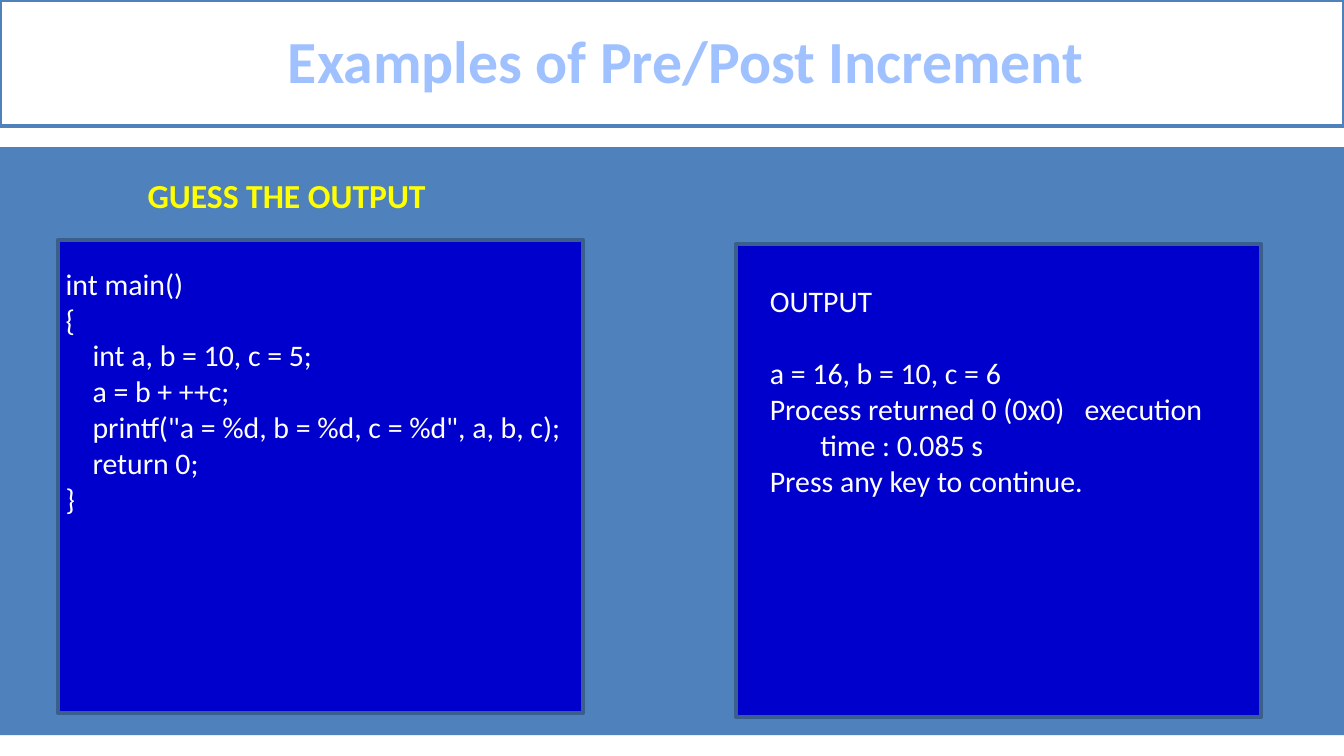
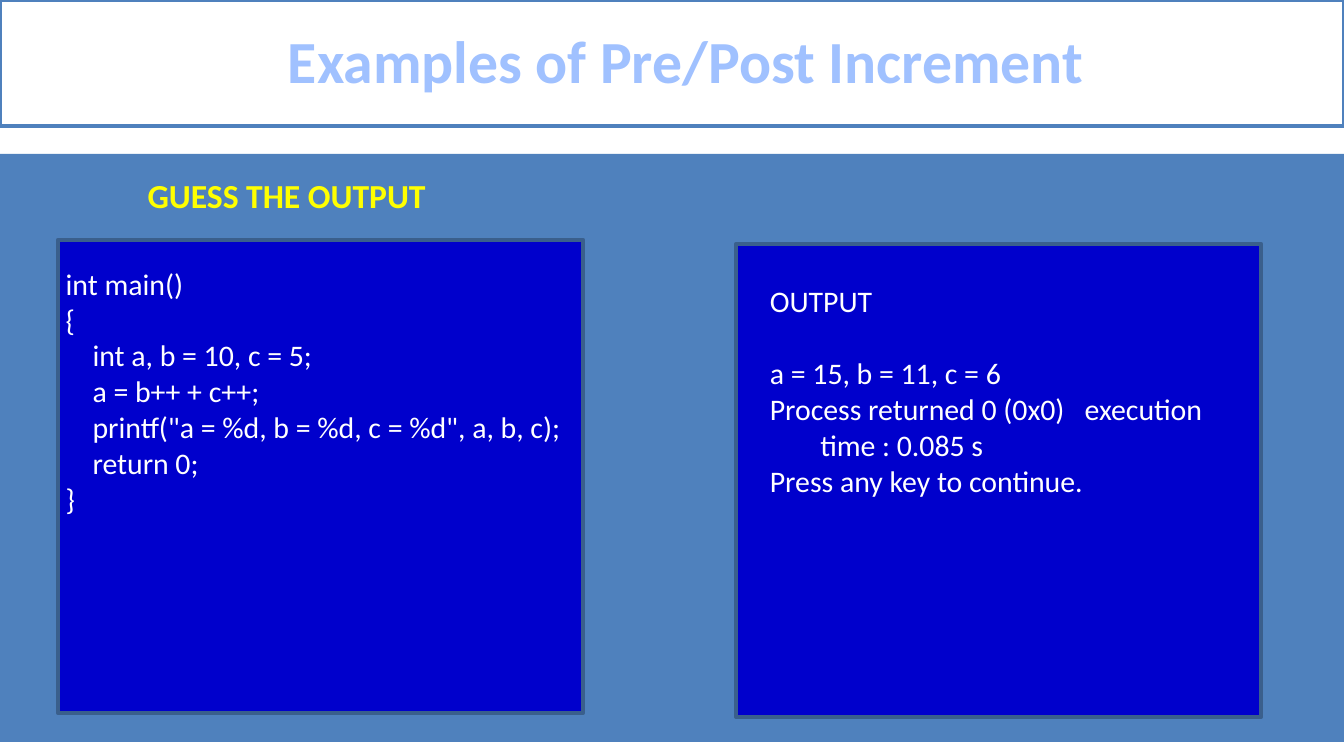
from pptx import Presentation
from pptx import util as u
from pptx.dml.color import RGBColor
from pptx.enum import shapes, text

PX = 4572
FONT = "Calibri"
WHITE = RGBColor(0xFF, 0xFF, 0xFF)
STEEL = RGBColor(0x4F, 0x81, 0xBD)
SLATE = RGBColor(0x3A, 0x5F, 0x8C)
NAVY = RGBColor(0x00, 0x00, 0xCC)
SKY = RGBColor(0xA0, 0xC1, 0xFF)
YELLOW = RGBColor(0xFF, 0xFF, 0x00)

TITLE_STYLE = {"name": FONT, "size": u.Pt(32), "bold": True}
HEADING_STYLE = {"name": FONT, "size": u.Pt(18), "bold": True}
LISTING_STYLE = {"name": FONT, "size": u.Pt(16), "bold": False}

EXAMPLES = [
    {"band_top": 219, "statement": "a = b + ++c;", "result": "a = 16, b = 10, c = 6"},
    {"band_top": 229, "statement": "a = b++ + c++;", "result": "a = 15, b = 11, c = 6"},
]


def px(*lengths):
    return [u.Emu(length * PX) for length in lengths]


def format_paragraph(paragraph, style, color, left=0, first=0):
    properties = paragraph._p.get_or_add_pPr()
    for key, length in {"marL": left, "indent": first}.items():
        properties.set(key, str(length * PX))
    for key, value in style.items():
        setattr(paragraph.font, key, value)
    paragraph.font.color.rgb = color


def paint(shape, fill, outline=None):
    shape.fill.solid()
    shape.fill.fore_color.rgb = fill
    if outline is None:
        shape.line.fill.background()
    else:
        shape.line.color.rgb = outline
        shape.line.width = u.Pt(2)


def add_panel(slide, place, fill, outline=None):
    panel = slide.shapes.add_shape(shapes.MSO_SHAPE.RECTANGLE, *px(*place))
    panel.shadow.inherit = False
    paint(panel, fill, outline)


def add_lines(slide, place, lines, style, color, left, first=0):
    frame = slide.shapes.add_textbox(*px(*place)).text_frame
    frame.word_wrap = True
    frame.auto_size = text.MSO_AUTO_SIZE.SHAPE_TO_FIT_TEXT
    frame.text = "\n".join(lines)
    for paragraph in frame.paragraphs:
        format_paragraph(paragraph, style, color, left, first)
    return frame.paragraphs


def set_title(slide, wording):
    title = slide.shapes.title
    for key, length in zip(("left", "top", "width", "height"), px(0, 0, 2000, 188)):
        setattr(title, key, length)
    paint(title, WHITE, STEEL)
    frame = title.text_frame
    frame.text = wording
    frame.auto_size = text.MSO_AUTO_SIZE.NONE
    frame.vertical_anchor = text.MSO_ANCHOR.MIDDLE
    heading = frame.paragraphs[0]
    format_paragraph(heading, TITLE_STYLE, SKY, left=42)
    heading.alignment = text.PP_ALIGN.CENTER
    heading.line_spacing = 0.96


def add_code(slide, statement):
    code = [
        "int main()",
        "{",
        "    int a, b = 10, c = 5;",
        f"    {statement}",
        '    printf("a = %d, b = %d, c = %d", a, b, c);',
        "    return 0;",
        "}",
    ]
    add_panel(slide, (86, 357, 782, 704), NAVY, SLATE)
    add_lines(slide, (78, 385, 938, 398), code, LISTING_STYLE, WHITE, 75, -75)


def add_output(slide, result):
    console = [
        "OUTPUT",
        result,
        "Process returned 0 (0x0)   execution time : 0.085 s",
        "Press any key to continue.",
    ]
    add_panel(slide, (1095, 363, 782, 704), NAVY, SLATE)
    printed = add_lines(slide, (1126, 411, 704, 344), console, LISTING_STYLE, WHITE, 75, -75)
    printed[1].space_before = u.Pt(19.5)


def add_example(deck, band_top, statement, result):
    slide = deck.slides.add_slide(deck.slide_layouts[5])
    add_panel(slide, (0, band_top, 2000, 875), STEEL)
    set_title(slide, "Examples of Pre/Post Increment")
    add_code(slide, statement)
    add_lines(slide, (0, 250, 2000, 80), ["GUESS THE OUTPUT"], HEADING_STYLE, YELLOW, 200)
    add_output(slide, result)


def main():
    deck = Presentation()
    deck.slide_width, deck.slide_height = px(2000, 1125)
    for example in EXAMPLES:
        add_example(deck, **example)
    deck.save("out.pptx")


if __name__ == "__main__":
    main()
